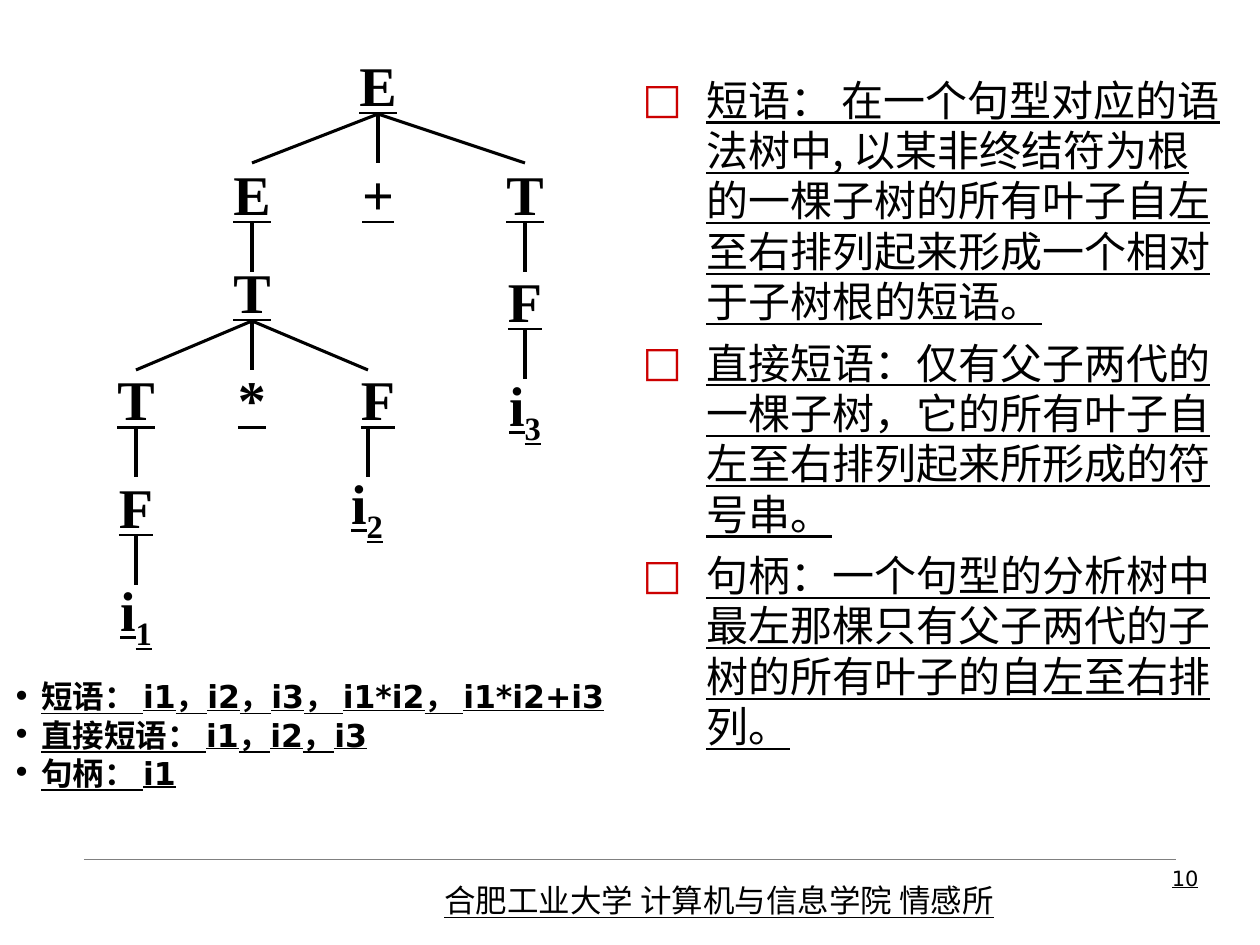
from lxml import etree
from pptx import Presentation
from pptx.dml.color import RGBColor
from pptx.enum.shapes import MSO_CONNECTOR
from pptx.enum.text import MSO_ANCHOR, PP_ALIGN
from pptx.oxml.ns import qn
from pptx.util import Pt

EMU_PER_PX = 914400 / 126
STRAIGHT = MSO_CONNECTOR.STRAIGHT
MIDDLE = MSO_ANCHOR.MIDDLE
LEFT, CENTER, RIGHT = PP_ALIGN.LEFT, PP_ALIGN.CENTER, PP_ALIGN.RIGHT

COLORS = {"text": "000000", "accent": "CC0000", "rule": "808080"}
CJK, SANS, SERIF = "Noto Sans CJK SC", "DejaVu Sans", "Times New Roman"

NODE_WIDTH, NODE_HEIGHT, EDGE_HEIGHT = 83, 59, 49
# name: (label, subscript, centre x, top, x where edges meet the node, parent)
TREE = {
    "root": ("E", "", 284, 0, 284, None),
    "left E": ("E", "", 158, 109, 158, "root"),
    "plus": ("+", "", 284, 109, 284, "root"),
    "right T": ("T", "", 431, 109, 431, "root"),
    "product": ("T", "", 158, 207, 158, "left E"),
    "right F": ("F", "", 431, 216, 431, "right T"),
    "third": ("i", "3", 431, 324, 431, "right F"),
    "first T": ("T", "", 42, 314, 42, "product"),
    "times": ("*", "", 158, 314, 158, "product"),
    "second F": ("F", "", 284, 314, 274, "product"),
    "first F": ("F", "", 42, 422, 42, "first T"),
    "second": ("i", "2", 273, 422, 274, "second F"),
    "first": ("i", "1", 42, 529, 42, "first F"),
}

DEFINITIONS = [
    "短语： 在一个句型对应的语法树中, 以某非终结符为根的一棵子树的所有叶子自左至右排列起来形成一个相对于子树根的短语。",
    "直接短语：仅有父子两代的一棵子树，它的所有叶子自左至右排列起来所形成的符号串。",
    "句柄：一个句型的分析树中最左那棵只有父子两代的子树的所有叶子的自左至右排列。",
]
ANSWERS = [
    "短语： i1，i2，i3， i1*i2， i1*i2+i3",
    "直接短语： i1，i2，i3",
    "句柄： i1",
]


def px(length):
    return round(length * EMU_PER_PX)


def add_line(page, start, end, color, width):
    line = page.shapes.add_connector(STRAIGHT, *map(px, (*start, *end)))
    line.line.color.rgb = RGBColor.from_string(COLORS[color])
    line.line.width = Pt(width)
    etree.SubElement(line._element.spPr, qn("a:effectLst"))


def add_frame(page, box, wrap=True):
    frame = page.shapes.add_textbox(*map(px, box)).text_frame
    frame.word_wrap = wrap
    return frame


def format_font(font, face, size, bold=False):
    font.name, font.size = face, Pt(size)
    font.bold, font.underline = bold, True
    font.color.rgb = RGBColor.from_string(COLORS["text"])


def add_span(para, text, face):
    """Add a run whose East Asian characters use the CJK face."""
    span = para.add_run()
    span.text = text
    span.font.name = face
    etree.SubElement(span.font._element, qn("a:ea"), typeface=CJK)
    return span


def add_label(page, box, text, face, size, align=LEFT):
    para = add_frame(page, box).paragraphs[0]
    para.alignment = align
    add_span(para, text, face)
    format_font(para.font, face, size)


def set_bullet(para, mark, color, indent):
    properties = para._p.get_or_add_pPr()
    properties.set("marL", str(px(indent)))
    properties.set("indent", str(-px(indent)))
    bullet_color = etree.SubElement(properties, qn("a:buClr"))
    etree.SubElement(bullet_color, qn("a:srgbClr"), val=COLORS[color])
    etree.SubElement(properties, qn("a:buFont"), typeface=SANS)
    etree.SubElement(properties, qn("a:buChar"), char=mark)


def add_bullet_list(page, box, items, mark, color, indent, face, size,
                    line_height, gap, bold=False):
    frame = add_frame(page, box)
    for index, item in enumerate(items):
        para = frame.paragraphs[0] if index == 0 else frame.add_paragraph()
        para.line_spacing = Pt(line_height)
        para.space_before = Pt(gap if index else 0)
        set_bullet(para, mark, color, indent)
        add_span(para, item, face)
        format_font(para.font, face, size, bold)


def add_node(page, box, label, subscript):
    frame = add_frame(page, box, wrap=False)
    frame.vertical_anchor = MIDDLE
    para = frame.paragraphs[0]
    para.alignment = CENTER
    add_span(para, label, SERIF)
    if subscript:
        lowered = add_span(para, subscript, SERIF)
        lowered.font._element.set("baseline", "-25000")
    format_font(para.font, SERIF, 32, bold=True)


def add_syntax_tree(page, left, top):
    for label, subscript, center, node_top, stem, parent in TREE.values():
        box = (left + center - NODE_WIDTH / 2, top + node_top,
               NODE_WIDTH, NODE_HEIGHT)
        add_node(page, box, label, subscript)
        if parent:
            parent_top, parent_stem = TREE[parent][3:5]
            edge_top = top + parent_top + NODE_HEIGHT
            add_line(page, (left + parent_stem, edge_top),
                     (left + stem, edge_top + EDGE_HEIGHT), "text", 1.75)


def add_footer(page, left, top, width):
    add_line(page, (left, top), (left + width, top), "rule", 0.25)
    add_label(page, (left + 348, top + 16, 605, 50),
              "合肥工业大学 计算机与信息学院 情感所", CJK, 18)
    add_label(page, (left + 853, top, 274, 66), "10", SANS, 12, RIGHT)


def main():
    deck = Presentation()
    deck.slide_width, deck.slide_height = px(1260), px(945)
    page = deck.slides.add_slide(deck.slide_layouts[6])
    add_footer(page, 84, 859, 1092)
    add_bullet_list(page, (630, 68, 607, 693), DEFINITIONS, "□", "accent", 64,
                    CJK, 24, 28.8, 6.2)
    add_syntax_tree(page, 94, 55)
    add_bullet_list(page, (0, 671, 675, 164), ANSWERS, "•", "text", 29,
                    SANS, 18, 21.7, 0.2, bold=True)
    deck.save("out.pptx")


if __name__ == "__main__":
    main()
